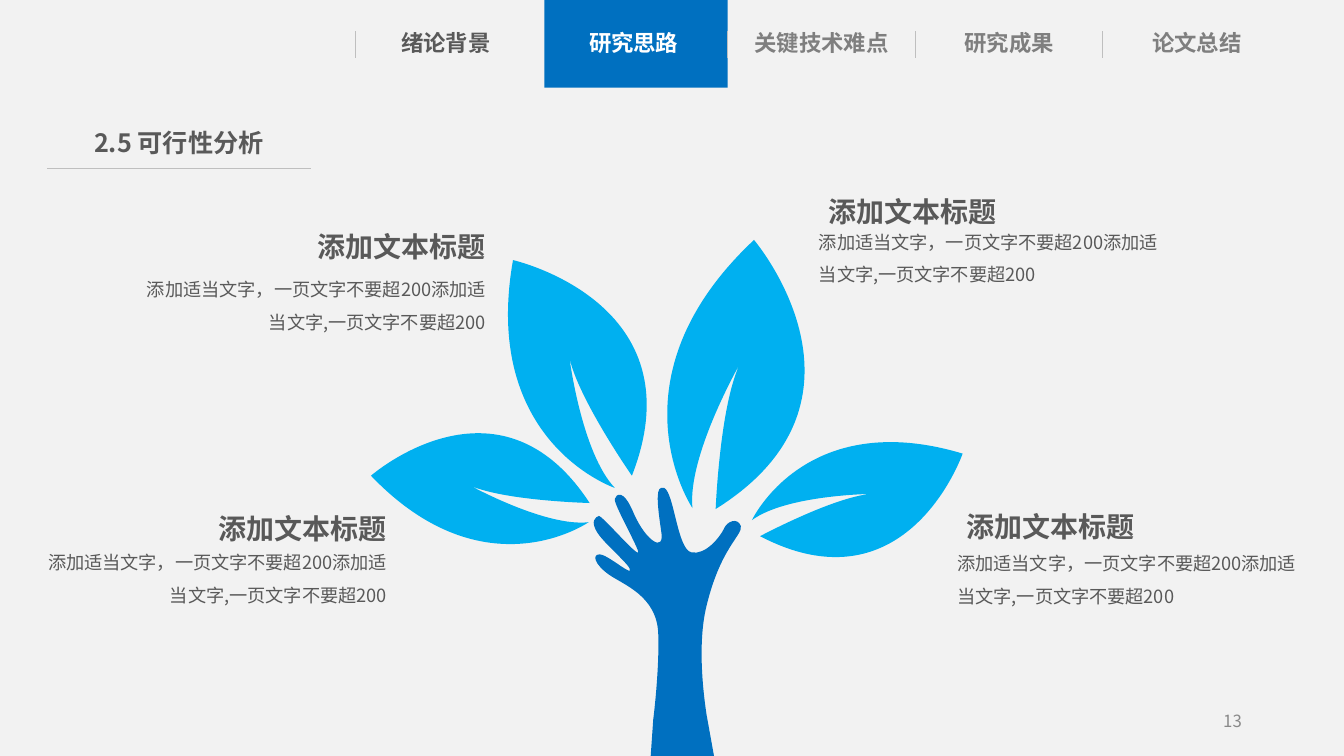
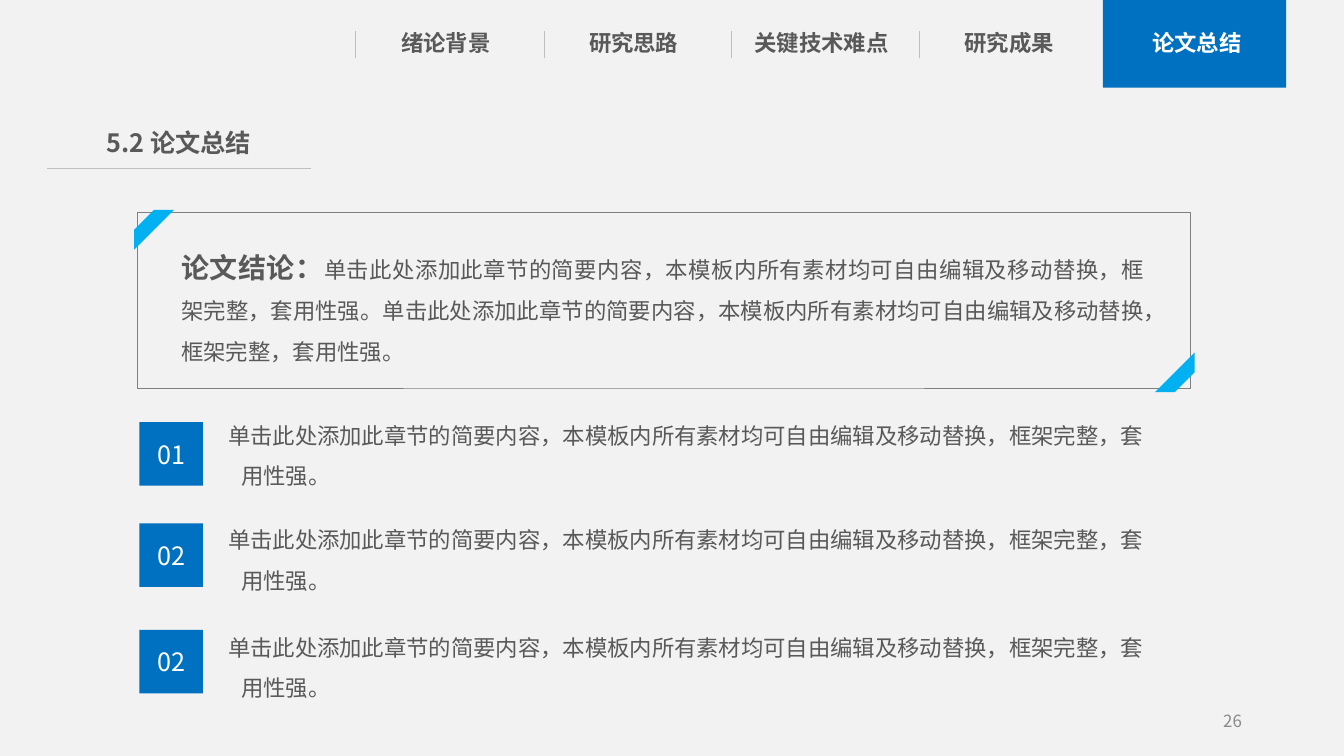
from dataclasses import dataclass

from lxml import etree
from pptx import Presentation
from pptx.dml.color import RGBColor
from pptx.enum import shapes, text
from pptx.oxml import ns
from pptx.util import Pt


@dataclass(frozen=True)
class Theme:
    font: str = "Noto Sans CJK SC"
    paper: str = "F2F2F2"
    white: str = "FFFFFF"
    ink: str = "595959"
    muted: str = "7F7F7F"
    folio: str = "898989"
    rule: str = "BFBFBF"
    blue: str = "0070C0"
    sky: str = "00B0F0"
    small: float = 12
    caption: float = 13
    body: float = 16
    heading: float = 18
    lead: float = 20
    hairline: float = 0.5
    leading: float = 1.5


THEME = Theme()
ALIGN = text.PP_ALIGN
LEFT, RIGHT, CENTER, JUSTIFY = ALIGN.LEFT, ALIGN.RIGHT, ALIGN.CENTER, ALIGN.JUSTIFY
TABS = ["绪论背景", "研究思路", "关键技术难点", "研究成果", "论文总结"]
TAB_PITCH = 134.1
SUMMARY = "单击此处添加此章节的简要内容，本模板内所有素材均可自由编辑及移动替换，框架完整，套用性强。"
CAPTION_TITLE = "添加文本标题"
CAPTION_BODY = "添加适当文字，一页文字不要超200添加适当文字,一页文字不要超200"
CAPTIONS = [
    (577.9, 123.1, 30.5, LEFT),
    (676.8, 348.5, 34.5, LEFT),
    (87.6, 148.3, 39.1, RIGHT),
    (16.9, 349.9, 32.9, RIGHT),
]
LEAVES = [
    [(174.2, 177.5), (78.4, 145.1), (101.5, 14.8), (234.7, 45), (186.4, 168.8),
     (148.3, 114.1), (141.8, 84.6), (150.4, 152.3)],
    [(229.6, 191.9), (167.7, 99.7), (273.6, 0.4), (370.8, 114.8), (246.2, 192.6),
     (249.1, 119.2), (263.5, 88.9), (226, 154.4)],
    [(272.1, 200.5), (310.3, 119.2), (422.6, 153), (383, 266.8), (277.9, 212),
     (330.4, 184), (357.1, 181.8), (296.6, 182.5)],
    [(155.5, 202), (81.3, 253.8), (0, 168.8), (91.4, 88.9), (156.2, 188.3),
     (96.4, 186.8), (71.2, 176), (125.2, 205.6)],
]
HAND_START = (207.3, 177.5)
HAND = [
    [(208, 177.5), (208.8, 177.5), (209.5, 177.5)],
    [(216.7, 181.8), (218.8, 221.4), (228.9, 223.6)],
    [(239, 225.7), (249.1, 212.8), (252, 207)],
    [(254.1, 201.2), (262, 198.4), (264.2, 204.8)],
    [(265.6, 211.3), (249.8, 220), (239.7, 261.7)],
    [(234, 284.8), (236.1, 315.7), (239.7, 339.5)],
    [(248.4, 387.7)],
    [(198.7, 387.7)],
    [(198.7, 386.3)],
    [(199.4, 374), (201.6, 343.8), (201.6, 343.1)],
    [(203.7, 326.5), (205.9, 299.2), (205.2, 281.9)],
    [(204.4, 254.5), (180, 246.6), (169.9, 239.4)],
    [(159.8, 232.2), (157.6, 225), (163.4, 225)],
    [(168.4, 225), (184.3, 238.7), (185, 236.5)],
    [(186.4, 233.6), (167.7, 218.5), (162, 209.9)],
    [(156.2, 201.2), (160.5, 198.4), (162.7, 197.6)],
    [(164.8, 196.9), (189.3, 225.7), (190.8, 223.6)],
    [(192.2, 222.1), (172.8, 188.3), (174.2, 185.4)],
    [(174.9, 182.5), (180, 176.8), (187.9, 196.2)],
    [(196.5, 215.6), (210.2, 224.3), (207.3, 208.4)],
    [(205.2, 194), (203, 178.2), (207.3, 177.5)],
]


def rgb(code):
    return RGBColor.from_string(code)


def place(shape, box):
    shape.left, shape.top, shape.width, shape.height = (Pt(length) for length in box)


def style_run(run, size, color, bold=False):
    run.font.name = THEME.font
    run.font.size = Pt(size)
    run.font.bold = bold
    run.font.color.rgb = rgb(color)
    latin = run.font._element.find(ns.qn("a:latin"))
    latin.addnext(etree.Element(ns.qn("a:ea"), typeface=THEME.font))


def style_frame(frame, size, color, bold=False, align=LEFT, leading=1.0,
                side=7.2, edge=3.6, anchor=text.MSO_ANCHOR.TOP):
    frame.word_wrap = True
    frame.auto_size = text.MSO_AUTO_SIZE.NONE
    frame.vertical_anchor = anchor
    frame.margin_left = frame.margin_right = Pt(side)
    frame.margin_top = frame.margin_bottom = Pt(edge)
    for paragraph in frame.paragraphs:
        paragraph.alignment = align
        paragraph.line_spacing = leading
        for run in paragraph.runs:
            style_run(run, size, color, bold)


def add_label(slide, box, words, size, color, **look):
    label = slide.shapes.add_textbox(*(Pt(length) for length in box))
    label.text_frame.text = words
    style_frame(label.text_frame, size, color, **look)
    return label


def paint(shape, fill=None, line=None):
    shape.shadow.inherit = False
    if fill:
        shape.fill.solid()
        shape.fill.fore_color.rgb = rgb(fill)
    else:
        shape.fill.background()
    if line:
        shape.line.color.rgb = rgb(line)
        shape.line.width = Pt(THEME.hairline)
    else:
        shape.line.fill.background()


def add_rect(slide, box, **colors):
    rect = slide.shapes.add_shape(
        shapes.MSO_SHAPE.RECTANGLE, *(Pt(length) for length in box))
    paint(rect, **colors)
    return rect


def add_rule(slide, *ends):
    rule = slide.shapes.add_connector(
        shapes.MSO_CONNECTOR.STRAIGHT, *(Pt(length) for length in ends))
    rule.line.color.rgb = rgb(THEME.rule)
    rule.line.width = Pt(THEME.hairline)
    etree.SubElement(rule._element.spPr, ns.qn("a:effectLst"))


def add_outline(slide, left, top, start, segments, fill):
    points = [start] + [point for segment in segments for point in segment]
    (x, y), *others = [(round((left + px) * 100), round((top + py) * 100))
                       for px, py in points]
    builder = slide.shapes.build_freeform(x, y, scale=Pt(1) / 100)
    builder.add_line_segments(others, close=True)
    outline = builder.convert_to_shape()
    paint(outline, fill=fill)
    strokes = iter(list(outline._element.iter(ns.qn("a:lnTo"))))
    for segment in segments:
        legs = [next(strokes) for _ in segment]
        if len(legs) == 3:
            curve = etree.Element(ns.qn("a:cubicBezTo"))
            legs[0].addprevious(curve)
            for leg in legs:
                curve.append(leg[0])
                leg.getparent().remove(leg)


def leaf_segments(leaf):
    ends = leaf[::2]
    return [[start, pull, end]
            for start, pull, end in zip(ends, leaf[1::2], ends[1:] + ends[:1])]


def add_navigation(slide, edges, active):
    add_rect(slide, (0, 0, 960, 62.6), fill=THEME.paper)
    for index, (tab, x) in enumerate(zip(TABS, edges)):
        if index == active:
            add_rect(slide, (x, 0, 131, 62.6), fill=THEME.blue)
            color = THEME.white
        else:
            add_rule(slide, x, 22.3, x, 41.8)
            color = THEME.ink if index < active else THEME.muted
        add_label(slide, (265.7 + index * TAB_PITCH, 17.3, 105.8, 27.4), tab,
                  THEME.body, color, bold=True, align=CENTER, side=0)


def add_heading(slide, left, top, words):
    slide.shapes.title.text_frame.text = words
    place(slide.shapes.title, (left + 19.5, top, 149, 30.2))
    style_frame(slide.shapes.title.text_frame, THEME.heading, THEME.ink,
                bold=True, align=CENTER, side=0)
    add_rule(slide, left, top + 33.1, left + 188.6, top + 33.1)


def start_slide(deck, layout, edges, active, heading, number):
    slide = deck.slides.add_slide(deck.slide_layouts[layout])
    add_navigation(slide, edges, active)
    add_heading(slide, 33.8, 87.1, heading)
    add_label(slide, (678.2, 500.4, 216, 28.8), number, THEME.small, THEME.folio,
              align=RIGHT, anchor=text.MSO_ANCHOR.MIDDLE)
    return slide


def add_tree(slide, left, top):
    for leaf in LEAVES:
        add_outline(slide, left, top, leaf[0], leaf_segments(leaf), THEME.sky)
    add_outline(slide, left, top, HAND_START, HAND, THEME.blue)


def add_caption(slide, left, top, gap, align):
    width, title_width = 266.4, 141.1
    title_left = left if align == LEFT else left + width - title_width
    add_label(slide, (title_left, top, title_width, 39.6), CAPTION_TITLE, THEME.lead,
              THEME.ink, bold=True, align=RIGHT, leading=THEME.leading)
    add_label(slide, (left, top + gap, width, 55.4), CAPTION_BODY, THEME.caption,
              THEME.ink, align=align, leading=THEME.leading)


def add_conclusion(slide, left, top, width, height):
    add_rect(slide, (left, top, width, height), line=THEME.muted)
    ribbon = 28.4
    band = [(0, ribbon / 2), (ribbon / 2, 0), (ribbon, 0), (0, ribbon)]
    turned = [(-x, -y) for x, y in band]
    for x, y, (start, *corners) in [(left - 2, top - 2, band),
                                    (left + width + 3, top + height + 3, turned)]:
        add_outline(slide, x, y, start, [[corner] for corner in corners], THEME.sky)
    verdict = add_label(slide, (left + 24.5, top + 11.5, 702.7, 101.5), "论文结论：",
                        THEME.lead, THEME.ink, bold=True, align=JUSTIFY,
                        leading=THEME.leading)
    detail = verdict.text_frame.paragraphs[0].add_run()
    detail.text = SUMMARY * 2
    style_run(detail, THEME.body, THEME.ink)


def add_points(slide, left, top, rows):
    side, hang = 45.4, 9.4
    for number, drop, _ in rows:
        badge = add_rect(slide, (left, top + drop, side, side), fill=THEME.blue)
        badge.text_frame.text = number
        style_frame(badge.text_frame, THEME.heading, THEME.white, align=CENTER,
                    side=0, edge=0, anchor=text.MSO_ANCHOR.MIDDLE)
    points = slide.placeholders[1]
    place(points, (left + 56.1, top, 681.8, 215))
    points.text_frame.text = "\n".join([SUMMARY] * len(rows))
    style_frame(points.text_frame, THEME.body, THEME.ink, leading=THEME.leading)
    for paragraph, (_, _, gap) in zip(points.text_frame.paragraphs, rows):
        paragraph.space_before = Pt(gap)
        properties = paragraph._p.get_or_add_pPr()
        properties.set("marL", str(Pt(hang)))
        properties.set("indent", str(-Pt(hang)))
        etree.SubElement(properties, ns.qn("a:buNone"))


def build_feasibility(deck):
    edges = [254.2, 388.8, 519.8, 653.8, 787.7]
    slide = start_slide(deck, 5, edges, 1, "2.5 可行性分析", "13")
    add_tree(slide, 265, 171)
    for caption in CAPTIONS:
        add_caption(slide, *caption)


def build_summary(deck):
    edges = [254.2, 388.8, 522.7, 656.6, 787.7]
    slide = start_slide(deck, 1, edges, 4, "5.2 论文总结", "26")
    add_conclusion(slide, 97.9, 151.9, 752.4, 125.3)
    add_points(slide, 99.6, 288.4,
               [("01", 13.2, 0), ("02", 85.5, 17), ("02", 161.6, 19)])


def add_paper(deck):
    paper = add_rect(deck.slides[0], (0, 0, 960, 540), fill=THEME.paper)
    paper._element.nvSpPr.cNvPr.set("id", "100")
    deck.slide_master.shapes._spTree.insert(2, paper._element)


def main():
    deck = Presentation()
    deck.slide_width, deck.slide_height = Pt(960), Pt(540)
    build_feasibility(deck)
    build_summary(deck)
    add_paper(deck)
    deck.save("out.pptx")


if __name__ == "__main__":
    main()
